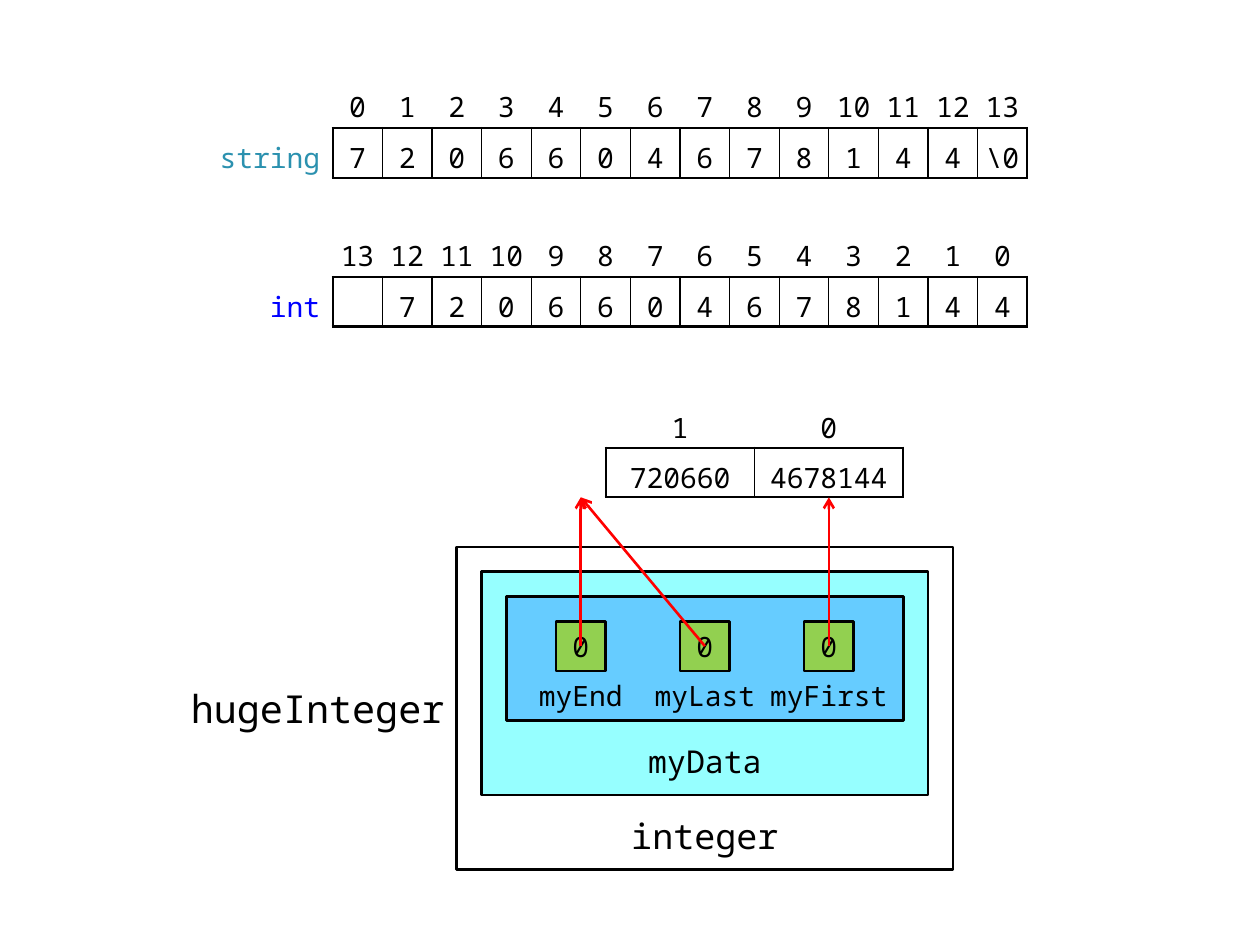
"""Builds a slide on how a huge integer is stored, as string, int digits and linked parts."""
import pptx
import pptx.chart.data
import pptx.dml.color
import pptx.enum.shapes
import pptx.enum.text
import pptx.oxml
import pptx.oxml.ns
import pptx.util

Pt = pptx.util.Pt
Kind = pptx.enum.shapes.MSO_SHAPE
Align = pptx.enum.text.PP_ALIGN
Anchor = pptx.enum.text.MSO_ANCHOR

FONT = "Noto Sans Mono"
BLACK, RED, GREEN = "000000", "FF0000", "92D050"
NO_STYLE = "{2D5ABB26-0587-4C30-8999-92F81FD0307C}"
UNIT = 28.35
LEFT, TOP = 105.1, 43.2

ARRAYS = [
    {"at": (0, 0), "label": ("string", "2B91AF"), "wide": 1, "pad": 1.44,
     "heads": [str(n) for n in range(14)], "values": [*"7206604678144", "\\0"]},
    {"at": (0, 3), "label": ("int", "0000FF"), "wide": 1, "pad": 1.44,
     "heads": [str(n) for n in reversed(range(14))], "values": ["", *"7206604678144"]},
    {"at": (8.5, 6.5), "label": None, "wide": 3, "pad": 0,
     "heads": ["1", "0"], "values": ["720660", "4678144"]},
]
FRAMES = [
    ((5.5, 9.5, 10, 6.5), "FFFFFF"),
    ((6, 10, 9, 4.5), "96FFFF"),
    ((6.5, 10.5, 8, 2.5), "66CCFF"),
]
NAMES = [
    ("hugeInteger", (-0.5, 12, 6, 1.5), 22, Align.RIGHT, 3.6),
    ("myData", (8.5, 13, 4, 1.5), 18, Align.CENTER, 0),
    ("integer", (8.5, 14.5, 4, 1.5), 20, Align.CENTER, 0),
]
LINKS = [("myEnd", 8, 8), ("myLast", 10.5, 8), ("myFirst", 13, 13)]


def color(code):
    return pptx.dml.color.RGBColor.from_string(code)


def place(x, y):
    return Pt(LEFT + x * UNIT), Pt(TOP + y * UNIT)


def area(x, y, w, h):
    return *place(x, y), Pt(w * UNIT), Pt(h * UNIT)


def write(frame, text, size=16, align=Align.CENTER, ink=BLACK, space=None):
    frame.text = text
    para = frame.paragraphs[0]
    para.alignment = align
    para.line_spacing = space
    for run in para.runs:
        run.font.name = FONT
        run.font.size = Pt(size)
        run.font.color.rgb = color(ink)


def block(slide, box, fill, kind=Kind.FLOWCHART_PROCESS):
    shape = slide.shapes.add_shape(kind, *area(*box))
    shape.shadow.inherit = False
    shape.fill.solid()
    shape.fill.fore_color.rgb = color(fill)
    shape.line.color.rgb = color(BLACK)
    shape.line.width = Pt(1.5)
    return shape


def label(slide, text, box, size=16, align=Align.CENTER, bottom=3.6):
    frame = slide.shapes.add_textbox(*area(*box)).text_frame
    frame.word_wrap = True
    frame.vertical_anchor = Anchor.MIDDLE
    frame.margin_bottom = Pt(bottom)
    write(frame, text, size, align)


def border(cell, **sides):
    props = cell._tc.get_or_add_tcPr()
    for side in "LRTB":
        if side in sides:
            props.append(pptx.oxml.parse_xml(
                f'<a:ln{side} {pptx.oxml.ns.nsdecls("a")} w="{Pt(sides[side])}">'
                f'<a:solidFill><a:srgbClr val="{BLACK}"/></a:solidFill></a:ln{side}>'))


def fill_cell(cell, text, align=Align.CENTER, ink=BLACK, side=0, pad=0):
    cell.margin_left = cell.margin_right = Pt(side)
    cell.margin_top = cell.margin_bottom = Pt(pad)
    cell.vertical_anchor = Anchor.MIDDLE
    cell.fill.background()
    write(cell.text_frame, text, 16, align, ink, 1.25)


def array(slide, data):
    first = 1 if data["label"] else 0
    count = len(data["values"])
    widths = [3] * first + [data["wide"]] * count
    grid = slide.shapes.add_table(
        2, len(widths), *area(*data["at"], sum(widths), 2)).table
    grid.first_row = grid.horz_banding = False
    grid._tbl.tblPr[0].text = NO_STYLE
    for col, width in zip(grid.columns, widths):
        col.width = Pt(width * UNIT)
    if first:
        name, ink = data["label"]
        border(grid.cell(1, 0), R=1.5)
        fill_cell(grid.cell(0, 0), "")
        fill_cell(grid.cell(1, 0), name, Align.RIGHT, ink, 7.2)
    for n, (head, value) in enumerate(zip(data["heads"], data["values"])):
        upper, lower = grid.cell(0, n + first), grid.cell(1, n + first)
        border(upper, B=1.5)
        border(lower, L=0.75 if n else 1.5, R=0.75 if n < count - 1 else 1.5,
               T=1.5, B=1.5)
        fill_cell(upper, head, pad=data["pad"])
        fill_cell(lower, value)


def arrow(slide, start, end):
    line = slide.shapes.add_connector(
        pptx.enum.shapes.MSO_CONNECTOR.STRAIGHT, *place(*start), *place(*end))
    line.line.color.rgb = color(RED)
    line.line.width = Pt(1.5)
    space = pptx.oxml.ns.nsdecls("a")
    line.line._get_or_add_ln().append(
        pptx.oxml.parse_xml(f'<a:tailEnd {space} type="arrow"/>'))
    line._element.spPr.append(pptx.oxml.parse_xml(f"<a:effectLst {space}/>"))


def main():
    deck = pptx.Presentation()
    deck.slide_width, deck.slide_height = Pt(720), Pt(540)
    slide = deck.slides.add_slide(deck.slide_layouts[6])
    for box, fill in FRAMES:
        block(slide, box, fill)
    for data in ARRAYS:
        array(slide, data)
    for name in NAMES:
        label(slide, *name)
    for name, x, goal in LINKS:
        node = block(slide, (x - 0.5, 11, 1, 1), GREEN, Kind.RECTANGLE)
        node.text_frame.vertical_anchor = Anchor.MIDDLE
        write(node.text_frame, "0")
        label(slide, name, (x - 1.5, 12, 3, 1))
    for name, x, goal in LINKS:
        arrow(slide, (x, 11.5), (goal, 8.5))
    deck.save("out.pptx")


if __name__ == "__main__":
    main()
